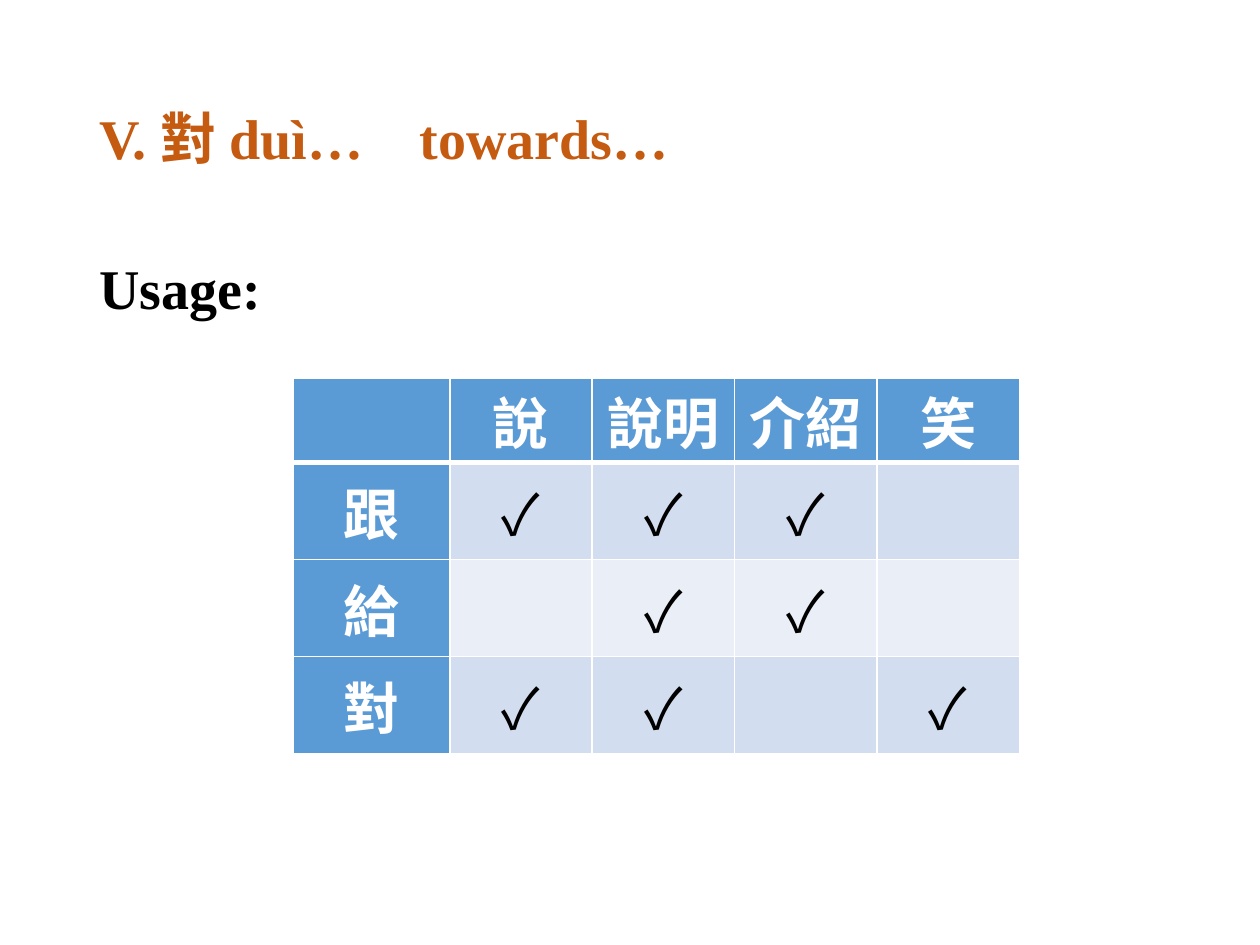
"""Build a grammar slide on the usage of 對 with a verb-compatibility table."""
import dataclasses

import lxml.etree
import pptx
import pptx.dml.color
import pptx.enum.text
import pptx.oxml.ns
import pptx.util


@dataclasses.dataclass(frozen=True)
class Theme:
    latin: str = "Times New Roman"
    chinese: str = "Noto Sans CJK SC"
    size: int = 32
    accent: str = "C55A11"
    ink: str = "000000"
    white: str = "FFFFFF"
    header: str = "5B9BD5"
    bands: tuple = ("D2DEEF", "EAEFF7")
    rule: int = 1
    header_rule: int = 3


theme = Theme()
qn = pptx.oxml.ns.qn


def write(paragraph, text, font=theme.latin, color=theme.ink, bold=True):
    run = paragraph.add_run()
    run.text = text
    run.font.name = font
    run.font.size = pptx.util.Pt(theme.size)
    run.font.bold = bold
    run.font.color.rgb = pptx.dml.color.RGBColor.from_string(color)
    east_asian = lxml.etree.Element(qn("a:ea"), typeface=theme.chinese)
    run.font._element.find(qn("a:latin")).addnext(east_asian)


def add_border(cell, side, points):
    width = str(pptx.util.Pt(points))
    line = lxml.etree.SubElement(cell._tc.get_or_add_tcPr(), qn(f"a:ln{side}"), w=width)
    fill = lxml.etree.SubElement(line, qn("a:solidFill"))
    lxml.etree.SubElement(fill, qn("a:srgbClr"), val=theme.white)


deck = pptx.Presentation()
deck.slide_width = pptx.util.Inches(10)
deck.slide_height = pptx.util.Inches(7.5)
W, H = deck.slide_width, deck.slide_height
slide = deck.slides.add_slide(deck.slide_layouts[5])
margin = int(W * 0.069)
text_width = W - 2 * margin

title = slide.shapes.title
title.left, title.top = margin, pptx.util.Inches(0.4)
title.width, title.height = text_width, pptx.util.Inches(1.45)
title.text_frame.auto_size = pptx.enum.text.MSO_AUTO_SIZE.NONE
title.text_frame.vertical_anchor = pptx.enum.text.MSO_ANCHOR.MIDDLE
heading = title.text_frame.paragraphs[0]
heading.alignment = pptx.enum.text.PP_ALIGN.LEFT
heading.line_spacing = 0.9
for words, font in (("V. ", theme.latin), ("對 ", theme.chinese), ("duì…\u3000towards…".replace("\u3000", "　"), theme.latin)):
    write(heading, words, font=font, color=theme.accent)

usage = slide.shapes.add_textbox(margin, int(H * 0.27), text_width, int(H * 0.1))
usage.text_frame.word_wrap = True
usage_label = usage.text_frame.paragraphs[0]
usage_label.line_spacing = 0.9
write(usage_label, "Usage:")

verbs = ["說", "說明", "介紹", "笑"]
pairings = {
    "跟": ["說", "說明", "介紹"],
    "給": ["說明", "介紹"],
    "對": ["說", "說明", "笑"],
}
rows = [["", *verbs]]
for preposition, allowed in pairings.items():
    rows.append([preposition, *("✓" if verb in allowed else "" for verb in verbs)])

stub_width, verb_width = int(W * 0.124), int(W * 0.113)
header_height, row_height = pptx.util.Inches(0.67), pptx.util.Inches(0.77)
usage_table = slide.shapes.add_table(
    len(rows), len(rows[0]), int(W * 0.233), int(H * 0.4),
    stub_width + len(verbs) * verb_width,
    header_height + len(pairings) * row_height,
).table
for c, column in enumerate(usage_table.columns):
    column.width = verb_width if c else stub_width
for r, row in enumerate(usage_table.rows):
    row.height = row_height if r else header_height

for r, row in enumerate(rows):
    for c, word in enumerate(row):
        cell = usage_table.cell(r, c)
        is_header = r == 0 or c == 0
        cell.margin_left = cell.margin_right = pptx.util.Inches(0.07)
        cell.margin_top = cell.margin_bottom = 0
        cell.vertical_anchor = pptx.enum.text.MSO_ANCHOR.MIDDLE
        for side in "LRTB":
            under_header = (r, side) in ((0, "B"), (1, "T"))
            add_border(cell, side, theme.header_rule if under_header else theme.rule)
        cell.fill.solid()
        shade = theme.header if is_header else theme.bands[(r - 1) % 2]
        cell.fill.fore_color.rgb = pptx.dml.color.RGBColor.from_string(shade)
        entry = cell.text_frame.paragraphs[0]
        entry.alignment = pptx.enum.text.PP_ALIGN.CENTER
        if word:
            write(entry, word, font=theme.chinese, bold=is_header,
                  color=theme.white if is_header else theme.ink)

deck.save("out.pptx")
